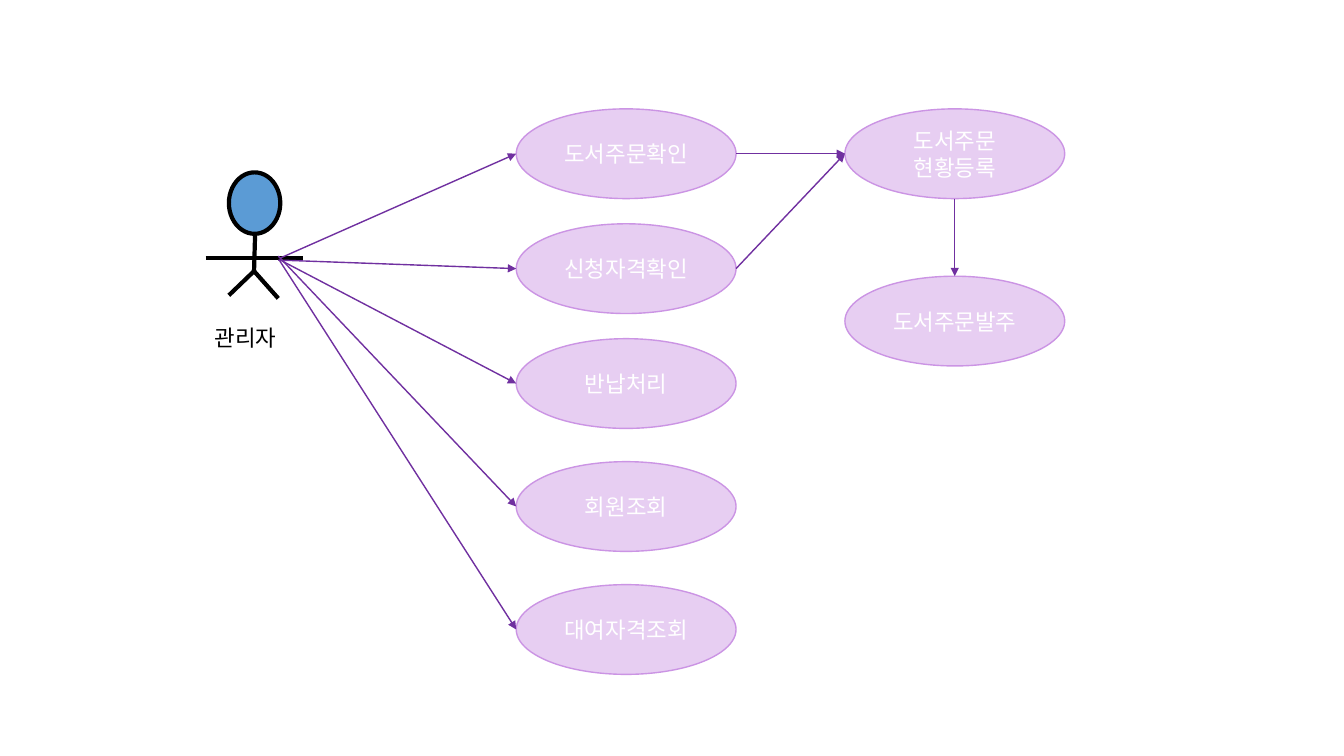
"""Build a use case diagram of a library administrator."""
from lxml.etree import SubElement
from pptx import Presentation
from pptx.dml.color import RGBColor
from pptx.enum.shapes import MSO_CONNECTOR as Line, MSO_SHAPE as Shape
from pptx.enum.text import MSO_ANCHOR as Anchor, PP_ALIGN as Align
from pptx.oxml.ns import qn
from pptx.util import Inches, Pt

FONT = "Noto Sans CJK KR"
LILAC = RGBColor(0xE7, 0xCE, 0xF2)
ORCHID = RGBColor(0xCB, 0x94, 0xE4)
PURPLE = RGBColor(0x70, 0x30, 0xA0)
BLUE = RGBColor(0x5B, 0x9B, 0xD5)
BLACK = RGBColor(0, 0, 0)
WHITE = RGBColor(255, 255, 255)

CASE_W, CASE_H = 2.18, 0.89
TASK_X, ORDER_X = 5.12, 8.38
ACTOR = "관리자"
TASKS = [
    ("도서주문확인", 1.08, (2.78, 2.56)),
    ("신청자격확인", 2.22, (2.76, 2.58)),
    ("반납처리", 3.36, (2.78, 2.58)),
    ("회원조회", 4.58, (2.76, 2.54)),
    ("대여자격조회", 5.8, (2.77, 2.58)),
]
ORDERS = [("도서주문\n현황등록", 1.08), ("도서주문발주", 2.74)]
HEAD = (2.27, 1.71, 0.51, 0.61)
LIMBS = [
    ((2.04, 2.56), (3.01, 2.56)),
    ((2.53, 2.33), (2.52, 2.69)),
    ((2.52, 2.69), (2.76, 2.96)),
    ((2.53, 2.68), (2.27, 2.93)),
]


def write(frame, text, color, align):
    frame.text = text
    for paragraph in frame.paragraphs:
        paragraph.alignment = align
        font = paragraph.font
        font.name, font.size, font.color.rgb = FONT, Pt(16), color
        properties = paragraph._p.pPr.find(qn("a:defRPr"))
        SubElement(properties, qn("a:ea"), typeface=FONT)


def add_ellipse(shapes, box, fill, outline, width):
    ellipse = shapes.add_shape(Shape.OVAL, *map(Inches, box))
    ellipse.shadow.inherit = False
    ellipse.fill.solid()
    ellipse.fill.fore_color.rgb = fill
    ellipse.line.color.rgb, ellipse.line.width = outline, Pt(width)
    return ellipse


def add_line(shapes, start, end, color, width, arrow=False):
    connector = shapes.add_connector(Line.STRAIGHT, *map(Inches, (*start, *end)))
    connector.line.color.rgb, connector.line.width = color, Pt(width)
    if arrow:
        SubElement(connector.line._get_or_add_ln(), qn("a:tailEnd"), type="triangle")
    SubElement(connector._element.spPr, qn("a:effectLst"))


def add_case(text, left, top):
    case = add_ellipse(slide.shapes, (left, top, CASE_W, CASE_H), LILAC, ORCHID, 1)
    case.text_frame.vertical_anchor = Anchor.MIDDLE
    write(case.text_frame, text, WHITE, Align.CENTER)


def add_arrow(start, end):
    add_line(slide.shapes, start, end, PURPLE, 1, arrow=True)


presentation = Presentation()
presentation.slide_width, presentation.slide_height = Inches(13.33), Inches(7.5)
slide = presentation.slides.add_slide(presentation.slide_layouts[6])

figure = slide.shapes.add_group_shape()
add_ellipse(figure.shapes, HEAD, BLUE, BLACK, 3)
for start, end in LIMBS:
    add_line(figure.shapes, start, end, BLACK, 3)
label = slide.shapes.add_textbox(*map(Inches, (2.03, 3.17, 0.91, 0.37)))
label.text_frame.word_wrap = True
write(label.text_frame, ACTOR, BLACK, Align.LEFT)

for text, top, hand in TASKS:
    add_case(text, TASK_X, top)
    add_arrow(hand, (TASK_X, top + CASE_H / 2))
for text, top in ORDERS:
    add_case(text, ORDER_X, top)

register_top, placement_top = [top for _, top in ORDERS]
for _, top, _ in TASKS[:2]:
    add_arrow((TASK_X + CASE_W, top + CASE_H / 2), (ORDER_X, register_top + CASE_H / 2))
order_center = ORDER_X + CASE_W / 2
add_arrow((order_center, register_top + CASE_H), (order_center, placement_top))

presentation.save("out.pptx")
